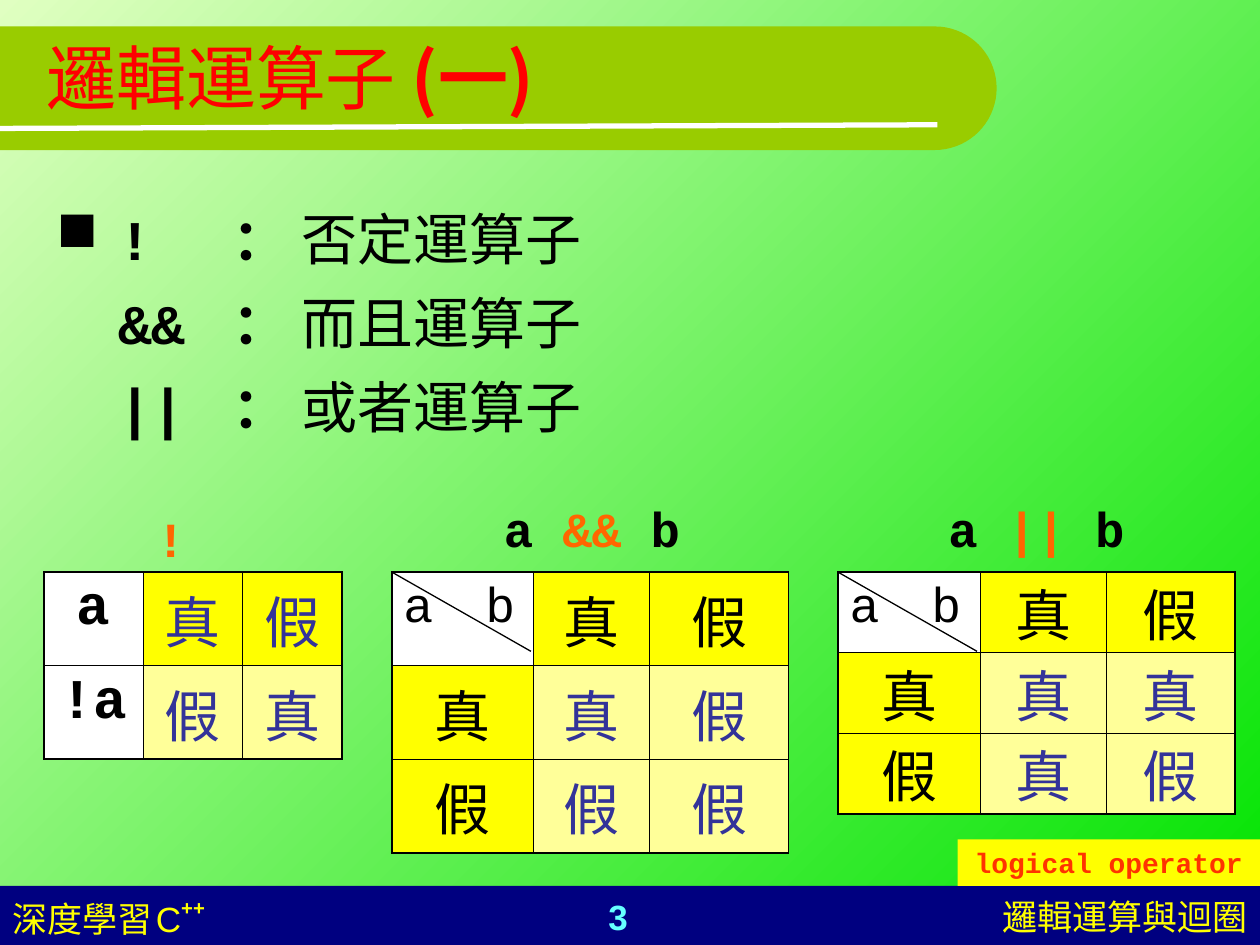
import math
from dataclasses import dataclass

from lxml import etree
from pptx import Presentation
from pptx import util as u
from pptx.dml.color import RGBColor
from pptx.enum import shapes, text
from pptx.oxml import ns

BLACK, WHITE, YELLOW = "000000", "FFFFFF", "FFFF00"
PALE_YELLOW, INDIGO, ORANGE = "FFFF99", "333399", "FF6600"
SANS, MONO, CJK = "Arial", "Courier New", "Noto Sans CJK SC"
LEFT, CENTER, RIGHT = text.PP_ALIGN.LEFT, text.PP_ALIGN.CENTER, text.PP_ALIGN.RIGHT
TABLE_TOP = 326.9


@dataclass
class Piece:
    words: str
    color: str | None = None
    size: float | None = None
    face: str | None = None
    bold: bool | None = None
    raised: int = 0


@dataclass
class Label:
    box: tuple[float, float, float, float]
    pieces: list[Piece]
    size: float
    color: str = BLACK
    face: str = SANS
    bold: bool = False
    align: text.PP_ALIGN = LEFT
    wrap: bool = True
    middle: bool = False


@dataclass
class TruthTable:
    left: float
    columns: list[float]
    row_height: float
    rows: list[list[str]]
    header_color: str = BLACK
    line_height: float | None = None


LABELS = [
    Label((269.3, 508.3, 167.8, 50.4), [Piece("3")], 20, "66FFFF", bold=True, align=CENTER),
    Label((484.6, 508.3, 235.4, 31.7), [Piece("邏輯運算與迴圈")], 20, YELLOW, align=RIGHT),
    Label((0, 508.3, 257.8, 31.7),
          [Piece("深度學習"), Piece(" ", size=8), Piece("C"),
           Piece("++", bold=True, raised=46)], 20, YELLOW),
    Label((19.4, 9.4, 612, 68.4),
          [Piece("邏輯運算子 "), Piece("(一)", face=CJK, bold=True)], 40, "FF0000", middle=True),
    Label((478.8, 281.5, 226.8, 41),
          [Piece("a "), Piece("|| ", ORANGE), Piece("b")], 28, face=MONO, bold=True, align=CENTER),
    Label((280.8, 281.5, 118.8, 41),
          [Piece("a "), Piece("&& ", ORANGE), Piece("b")], 28, face=MONO, bold=True),
    Label((82.1, 287.3, 47.5, 41),
          [Piece("!", ORANGE), Piece("a")], 28, face=MONO, bold=True, wrap=False),
]

OPERATORS = [("!", "否定運算子"), ("&&", "而且運算子"), ("||", "或者運算子")]

TABLES = [
    TruthTable(25.2, [56.7] * 3, 53.5,
               [["a", "真", "假"], ["!a", "假", "真"]], INDIGO),
    TruthTable(223.9, [80.7, 66.7, 79.2], 53.5,
               [["a\tb", "真", "假"], ["真", "真", "假"], ["假", "假", "假"]]),
    TruthTable(478.8, [81.3, 72, 73.5], 46.1,
               [["a\tb", "真", "假"], ["真", "真", "真"], ["假", "真", "假"]], line_height=42.4),
]


def rgb(color: str) -> RGBColor:
    return RGBColor.from_string(color)


def points(*lengths: float) -> list[u.Length]:
    return [u.Pt(length) for length in lengths]


def style(font, size=None, face=None, color=None, bold=None) -> None:
    if size is not None:
        font.size = u.Pt(size)
    if face is not None:
        font.name = face
    if color is not None:
        font.color.rgb = rgb(color)
    if bold is not None:
        font.bold = bold


def add_tabs(paragraph, *stops: float) -> None:
    tabs = etree.SubElement(paragraph._p.get_or_add_pPr(), ns.qn("a:tabLst"))
    for stop in stops:
        etree.SubElement(tabs, ns.qn("a:tab"), pos=str(u.Pt(stop)), algn="l")


def add_piece(paragraph, piece: Piece) -> None:
    run = paragraph.add_run()
    run.text = piece.words
    style(run.font, piece.size, piece.face, piece.color, piece.bold)
    if piece.raised:
        run._r.get_or_add_rPr().set("baseline", str(piece.raised * 1000))


def draw_label(slide, label: Label) -> None:
    frame = slide.shapes.add_textbox(*points(*label.box)).text_frame
    frame.word_wrap = label.wrap
    frame.vertical_anchor = text.MSO_ANCHOR.MIDDLE if label.middle else text.MSO_ANCHOR.TOP
    paragraph = frame.paragraphs[0]
    paragraph.alignment = label.align
    style(paragraph.font, label.size, label.face, label.color, label.bold)
    for piece in label.pieces:
        add_piece(paragraph, piece)


def paint(shape, color: str) -> None:
    shape.shadow.inherit = False
    shape.fill.solid()
    shape.fill.fore_color.rgb = rgb(color)
    shape.line.fill.background()


def draw_band(slide, left: float, top: float, width: float, height: float, color: str):
    band = slide.shapes.add_shape(shapes.MSO_SHAPE.RECTANGLE, *points(left, top, width, height))
    paint(band, color)
    return band


def draw_line(slide, x1: float, y1: float, x2: float, y2: float, color: str, width: float) -> None:
    line = slide.shapes.add_connector(shapes.MSO_CONNECTOR.STRAIGHT, *points(x1, y1, x2, y2))
    line.line.color.rgb = rgb(color)
    line.line.width = u.Pt(width)
    etree.SubElement(line._element.spPr, ns.qn("a:effectLst"))


def draw_title_banner(slide) -> None:
    radius, center_x, center_y = 35.3, 534.2, 50.4
    arc = [(center_x + radius * math.cos(math.radians(angle)),
            center_y + radius * math.sin(math.radians(angle))) for angle in range(-90, 91, 5)]
    outline = slide.shapes.build_freeform(*points(0, center_y - radius))
    outline.add_line_segments([points(*point) for point in [*arc, (0, center_y + radius)]])
    paint(outline.convert_to_shape(), "99CC00")
    draw_line(slide, 0, 73.4, 535.7, 71.3, WHITE, 3)


def draw_operators(slide) -> None:
    frame = slide.shapes.add_textbox(*points(25.2, 103.7, 374.4, 160.6)).text_frame
    frame.word_wrap = True
    paragraph = frame.paragraphs[0]
    paragraph.line_spacing = 1.25
    properties = paragraph._p.get_or_add_pPr()
    properties.set("marL", str(u.Pt(35.3)))
    properties.set("indent", str(u.Pt(-35.3)))
    bullet_color = etree.SubElement(properties, ns.qn("a:buClr"))
    etree.SubElement(bullet_color, ns.qn("a:srgbClr"), val=BLACK)
    etree.SubElement(properties, ns.qn("a:buChar"), char="■")
    add_tabs(paragraph, 65.5, 100.8)
    style(paragraph.font, 32, MONO, BLACK)
    for index, (symbol, meaning) in enumerate(OPERATORS):
        if index:
            paragraph.add_line_break()
        add_piece(paragraph, Piece(f"{symbol} \t", bold=True))
        add_piece(paragraph, Piece("： ", face=SANS, bold=True))
        add_piece(paragraph, Piece(meaning))


def add_border(cell, side: str, width: float) -> None:
    edge = etree.SubElement(cell._tc.get_or_add_tcPr(), ns.qn(f"a:ln{side}"), w=str(u.Pt(width)))
    fill = etree.SubElement(edge, ns.qn("a:solidFill"))
    etree.SubElement(fill, ns.qn("a:srgbClr"), val=BLACK)


def draw_table(slide, truth: TruthTable) -> None:
    height, width = len(truth.rows), len(truth.columns)
    table = slide.shapes.add_table(height, width, *points(
        truth.left, TABLE_TOP, sum(truth.columns), truth.row_height * height)).table
    table.first_row = table.horz_banding = False
    for column, column_width in zip(table.columns, truth.columns):
        column.width = u.Pt(column_width)
    for r, words_in_row in enumerate(truth.rows):
        table.rows[r].height = u.Pt(truth.row_height)
        for c, words in enumerate(words_in_row):
            cell = table.cell(r, c)
            outer = {"L": c == 0, "R": c == width - 1, "T": r == 0, "B": r == height - 1}
            for side, is_outer in outer.items():
                add_border(cell, side, 1.08 if is_outer else 0.45)
            variable, corner, header = "a" in words, "\t" in words, r == 0 or c == 0
            cell.fill.solid()
            cell.fill.fore_color.rgb = rgb(
                WHITE if variable else YELLOW if header else PALE_YELLOW)
            paragraph = cell.text_frame.paragraphs[0]
            paragraph.alignment = LEFT if corner else CENTER
            if truth.line_height and not corner:
                paragraph.line_spacing = u.Pt(truth.line_height)
                cell.margin_bottom = u.Pt(0)
            if corner:
                add_tabs(paragraph, 47)
            color = BLACK if variable else truth.header_color if header else INDIGO
            named = variable and not corner
            style(paragraph.font, 28 if corner else 32, MONO if named else SANS, color, named)
            add_piece(paragraph, Piece(words))
    if "\t" in truth.rows[0][0]:
        draw_line(slide, truth.left, TABLE_TOP, truth.left + 79.5, TABLE_TOP + 45.3, BLACK, 0.75)


def draw_term(slide) -> None:
    frame = draw_band(slide, 547.2, 479.7, 172.8, 26.6, YELLOW).text_frame
    frame.word_wrap = True
    paragraph = frame.paragraphs[0]
    paragraph.alignment = CENTER
    style(paragraph.font, 16, MONO, "FF3300", True)
    add_piece(paragraph, Piece("logical operator"))


def main() -> None:
    deck = Presentation()
    deck.slide_width, deck.slide_height = points(720, 540)
    slide = deck.slides.add_slide(deck.slide_layouts[6])
    backdrop = slide.background.fill
    backdrop.gradient()
    backdrop.gradient_angle = 315
    for stop, position, color in zip(backdrop.gradient_stops, (0, 1), ("E0FFC1", "00E400")):
        stop.position = position
        stop.color.rgb = rgb(color)
    draw_band(slide, 0, 506.2, 720, 33.8, "000080")
    draw_title_banner(slide)
    for label in LABELS:
        draw_label(slide, label)
    draw_operators(slide)
    for truth in TABLES:
        draw_table(slide, truth)
    draw_term(slide)
    deck.save("out.pptx")


if __name__ == "__main__":
    main()
